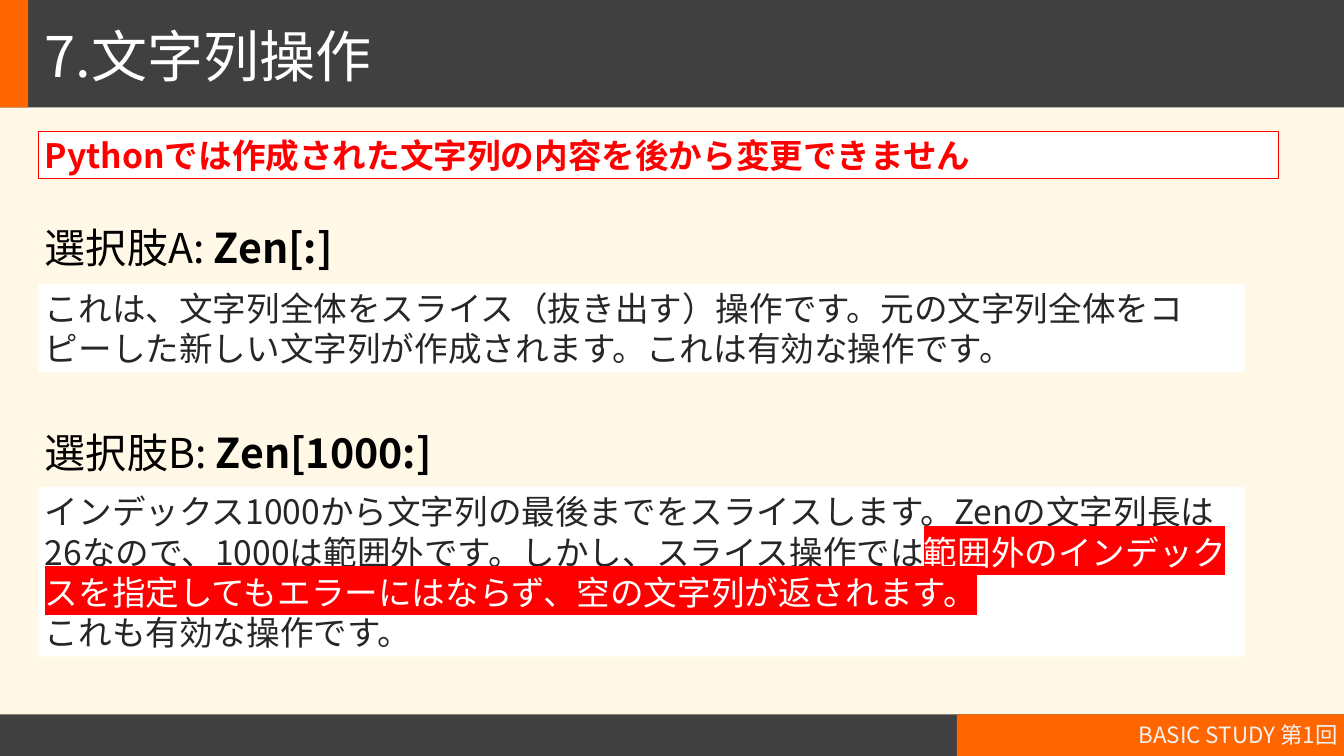
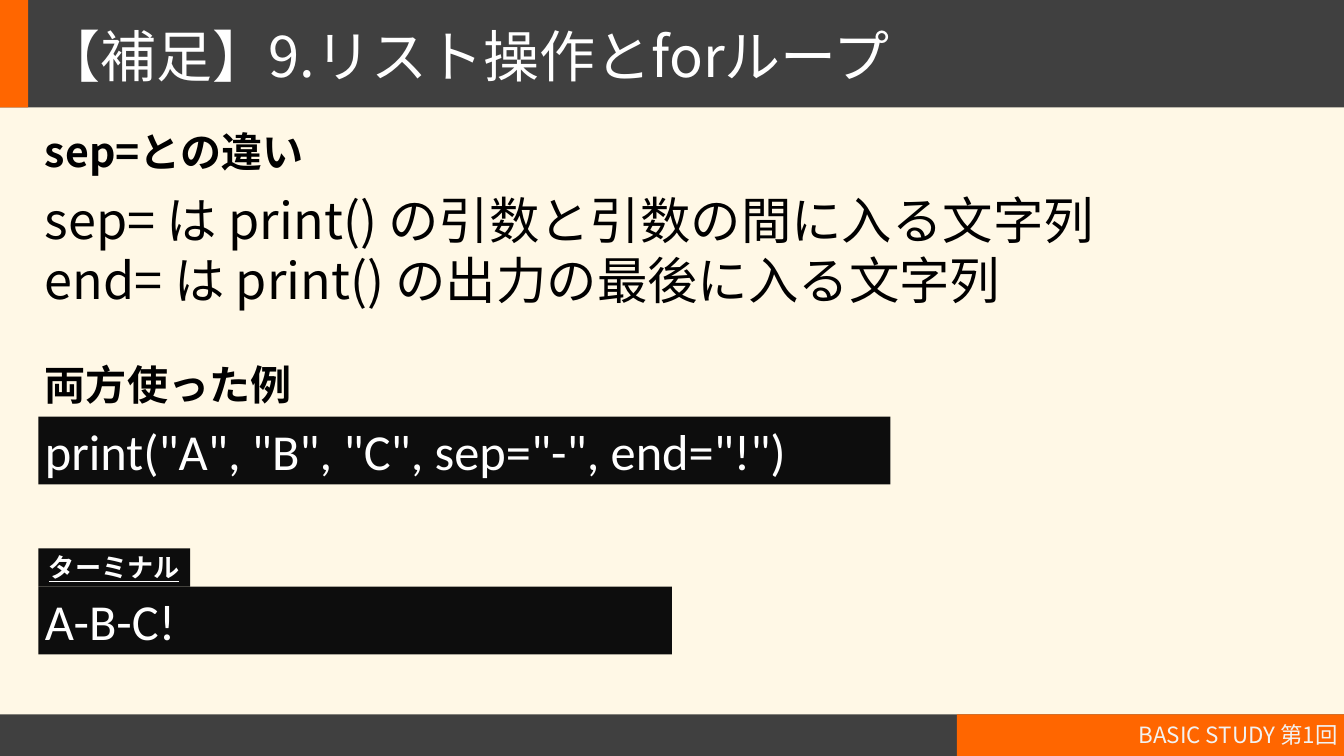
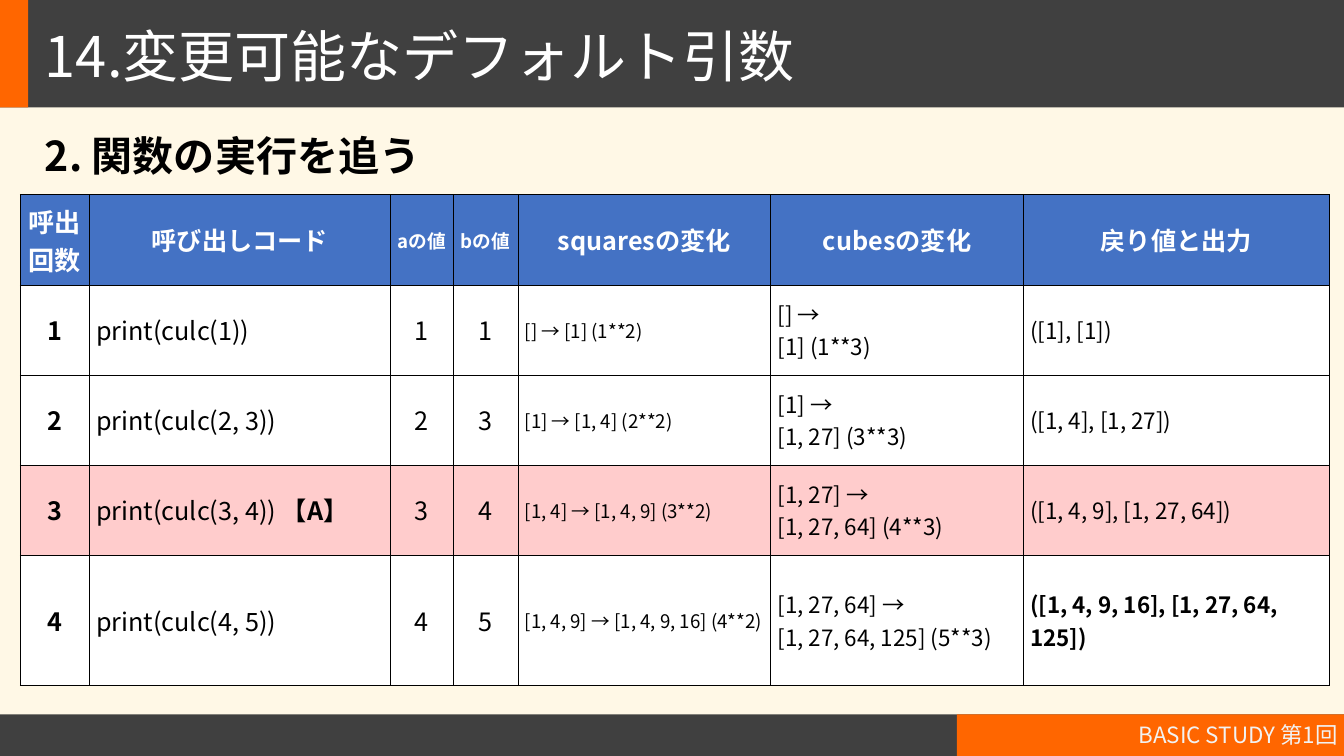
from pptx import Presentation
from pptx.dml.color import RGBColor
from pptx.enum.shapes import MSO_SHAPE
from pptx.enum.text import MSO_ANCHOR as ANCHOR, PP_ALIGN as ALIGN
from pptx.oxml import parse_xml
from pptx.oxml.ns import nsdecls, qn
from pptx.util import Pt

PX = 9144  # 100 px to the inch
JAPANESE, CODE = "Noto Sans CJK JP", "Calibri"
CREAM = RGBColor(0xFF, 0xF8, 0xE6)
CHARCOAL = RGBColor(0x40, 0x40, 0x40)
ORANGE = RGBColor(0xFF, 0x66, 0x00)
WHITE = RGBColor(0xFF, 0xFF, 0xFF)
PALE = RGBColor(0xF2, 0xF2, 0xF2)
BLACK = RGBColor(0x00, 0x00, 0x00)
INK = RGBColor(0x26, 0x26, 0x26)
TERMINAL = RGBColor(0x0D, 0x0D, 0x0D)
RED = RGBColor(0xFF, 0x00, 0x00)
BLUE = RGBColor(0x44, 0x72, 0xC4)
PINK = RGBColor(0xFF, 0xCC, 0xCC)
HEADING = 0.9  # line spacing of titles and headings
LEFT = 57


def write(frame, text, size, color=BLACK, bold=False, align=ALIGN.LEFT,
          spacing=None, font=JAPANESE, accent=None):
    """Fill a frame; accent is a second run that ends the first paragraph."""
    frame.text = text
    frame.word_wrap = True
    if accent:
        frame.paragraphs[0].add_run().text = accent
    for para in frame.paragraphs:
        para.alignment = align
        para.line_spacing = spacing
        for span in para.runs:
            span.font.size = Pt(size)
            span.font.bold = bold
            span.font.color.rgb = color
            span.font.name = font
            east_asian = parse_xml(f'<a:ea {nsdecls("a")} typeface="{font}"/>')
            span.font._element.find(qn("a:latin")).addnext(east_asian)


def add_box(page, place, fill=None, line=None, anchor=ANCHOR.TOP):
    """Add a text box, or a rectangle when a fill is given."""
    place = [length * PX for length in place]
    if fill is None:
        box = page.shapes.add_textbox(*place)
    else:
        box = page.shapes.add_shape(MSO_SHAPE.RECTANGLE, *place)
        box.shadow.inherit = False
        box.fill.solid()
        box.fill.fore_color.rgb = fill
        if line is None:
            box.line.fill.background()
        else:
            box.line.color.rgb = line
            box.line.width = Pt(0.75)
    box.text_frame.vertical_anchor = anchor
    return box.text_frame


deck = Presentation()
deck.slide_width, deck.slide_height = 2000 * PX, 1125 * PX

# Shared background, bands, title and footer
bands = [
    ((0, 1063, 2000, 62), CHARCOAL),
    ((1424, 1063, 576, 62), ORANGE),
    ((0, 0, 2000, 160), CHARCOAL),
    ((0, 0, 42, 160), ORANGE),
]
titles = ["7.文字列操作", "【補足】9.リスト操作とforループ", "14.変更可能なデフォルト引数"]
pages = []
for title in titles:
    page = deck.slides.add_slide(deck.slide_layouts[6])
    page.background.fill.solid()
    page.background.fill.fore_color.rgb = CREAM
    for place, color in bands:
        add_box(page, place, color)
    write(add_box(page, (LEFT, 38, 1930, 84)), title, 60, WHITE, spacing=HEADING)
    write(add_box(page, (1325, 1063, 675, 60), anchor=ANCHOR.MIDDLE),
          "BASIC STUDY 第1回", 24, PALE, align=ALIGN.RIGHT)
    pages.append(page)
strings_page, print_page, calls_page = pages

# Slide 1: warning, then each option with its explanation
warning = add_box(strings_page, (LEFT, 195, 1845, 71), WHITE, RED, ANCHOR.MIDDLE)
write(warning, "Pythonでは作成された文字列の内容を後から変更できません", 36, RED, True)

options = [
    (335, "選択肢A: ", "Zen[:]", 423, 131,
     "これは、文字列全体をスライス（抜き出す）操作です。元の文字列全体をコピーした新しい文字列が"
     "作成されます。これは有効な操作です。", None),
    (640, "選択肢B: ", "Zen[1000:]", 725, 252,
     "インデックス1000から文字列の最後までをスライスします。Zenの文字列長は26なので、"
     "1000は範囲外です。しかし、スライス操作では\nこれも有効な操作です。",
     "範囲外のインデックスを指定してもエラーにはならず、空の文字列が返されます。"),
]
for top, label, code, body_top, body_height, body, marked in options:
    heading = add_box(strings_page, (LEFT, top, 700, 84))
    write(heading, label, 44, spacing=HEADING, accent=code)
    heading.paragraphs[0].runs[1].font.bold = True
    answer = add_box(strings_page, (LEFT, body_top, 1795, body_height), WHITE,
                     anchor=ANCHOR.MIDDLE)
    write(answer, body, 36, INK, accent=marked)
    if marked:
        font = answer.paragraphs[0].runs[1].font
        font.color.rgb = WHITE
        highlight = parse_xml(f'<a:highlight {nsdecls("a")}>'
                              f'<a:srgbClr val="{RED}"/></a:highlight>')
        font._element.find(qn("a:latin")).addprevious(highlight)

# Slide 2: headings, explanation, code and terminal output
for top, heading in [(192, "sep=との違い"), (538, "両方使った例")]:
    write(add_box(print_page, (LEFT, top, 900, 84)), heading, 44, bold=True,
          spacing=HEADING)
write(add_box(print_page, (LEFT, 276, 1670, 192)),
      "sep= は print() の引数と引数の間に入る文字列\n"
      "end= は print() の出力の最後に入る文字列", 54)
for top, width, code in [(620, 1268, 'print("A", "B", "C", sep="-", end="!")'),
                         (873, 943, "A-B-C!")]:
    write(add_box(print_page, (LEFT, top, width, 101), TERMINAL), code, 54, WHITE,
          font=CODE)
tab = add_box(print_page, (LEFT, 816, 226, 57), TERMINAL)
write(tab, "ターミナル", 28, WHITE, True, ALIGN.CENTER)
tab.paragraphs[0].runs[0].font.underline = True

# Slide 3: heading and call table
write(add_box(calls_page, (LEFT, 197, 744, 84)), "2. 関数の実行を追う", 44, bold=True,
      spacing=HEADING)
widths = [103, 448, 93, 97, 376, 376, 455]
heights = [134, 134, 134, 134, 194]
header_sizes = [28, 27, 20, 20, 27, 27, 27]
body_sizes = [27, 27, 27, 27, 20, 24, 24]
centered_columns = (0, 2, 3)
rows = [
    ["呼出\n回数", "呼び出しコード", "aの値", "bの値", "squaresの変化", "cubesの変化",
     "戻り値と出力"],
    ["1", "print(culc(1))", "1", "1", "[] → [1] (1**2)", "[] →\n[1] (1**3)",
     "([1], [1])"],
    ["2", "print(culc(2, 3))", "2", "3", "[1] → [1, 4] (2**2)",
     "[1] →\n[1, 27] (3**3)", "([1, 4], [1, 27])"],
    ["3", "print(culc(3, 4)) ", "3", "4", "[1, 4] → [1, 4, 9] (3**2)",
     "[1, 27] →\n[1, 27, 64] (4**3)", "([1, 4, 9], [1, 27, 64])"],
    ["4", "print(culc(4, 5))", "4", "5", "[1, 4, 9] → [1, 4, 9, 16] (4**2)",
     "[1, 27, 64] →\n[1, 27, 64, 125] (5**3)", "([1, 4, 9, 16], [1, 27, 64, 125])"],
]
row_fills = [BLUE, WHITE, WHITE, PINK, WHITE]
table = calls_page.shapes.add_table(
    len(rows), len(widths), 30 * PX, 290 * PX, sum(widths) * PX, sum(heights) * PX).table
table.first_row = table.horz_banding = False
for column, width in zip(table.columns, widths):
    column.width = width * PX
for r, texts in enumerate(rows):
    table.rows[r].height = heights[r] * PX
    header = r == 0
    for c, text in enumerate(texts):
        cell = table.cell(r, c)
        cell.vertical_anchor = ANCHOR.MIDDLE
        bold = header or c == 0 or (r, c) == (4, 6)
        centered = header or c in centered_columns
        write(cell.text_frame, text, (header_sizes if header else body_sizes)[c],
              WHITE if header else BLACK, bold,
              ALIGN.CENTER if centered else ALIGN.LEFT,
              accent="【A】" if (r, c) == (3, 1) else None)
        for side in ("lnL", "lnR", "lnT", "lnB"):
            cell._tc.get_or_add_tcPr().append(parse_xml(
                f'<a:{side} {nsdecls("a")} w="12700"><a:solidFill>'
                f'<a:srgbClr val="{BLACK}"/></a:solidFill></a:{side}>'))
        cell.fill.solid()
        cell.fill.fore_color.rgb = row_fills[r]
table.cell(3, 1).text_frame.paragraphs[0].runs[1].font.bold = True

deck.save("out.pptx")
